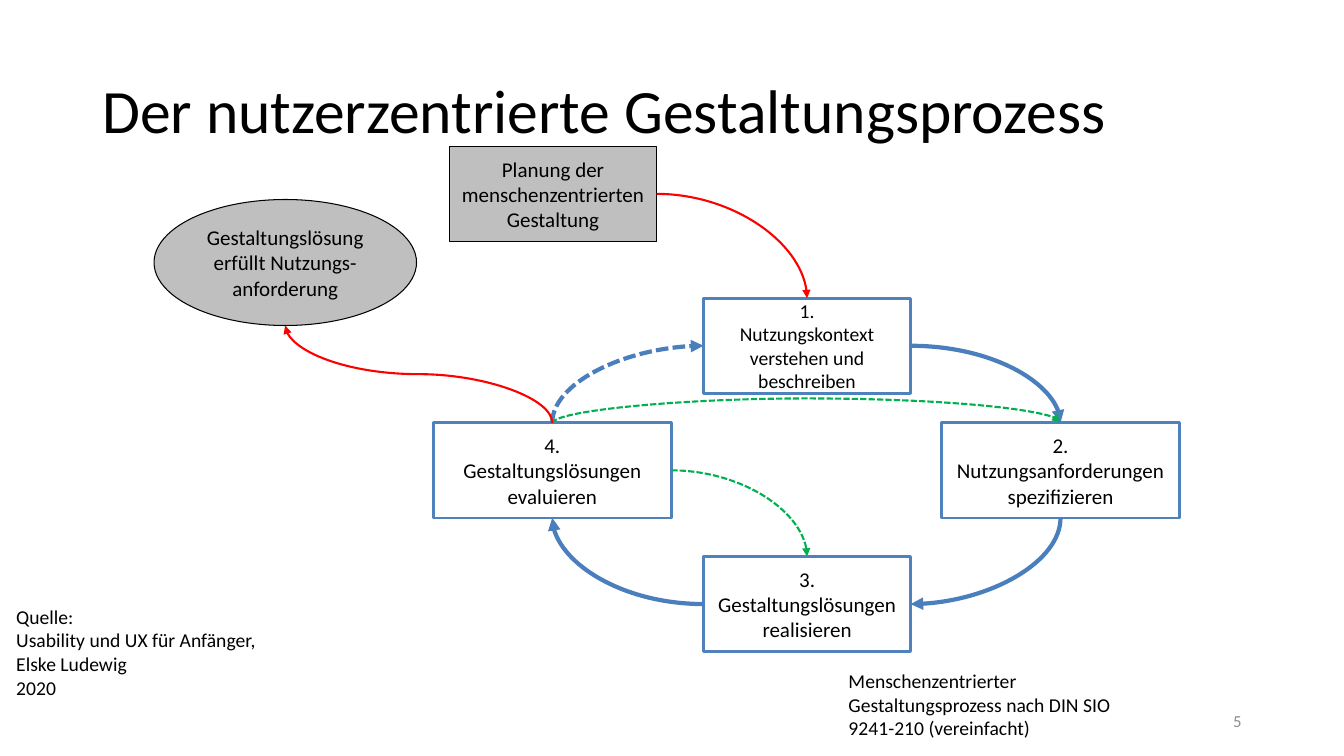
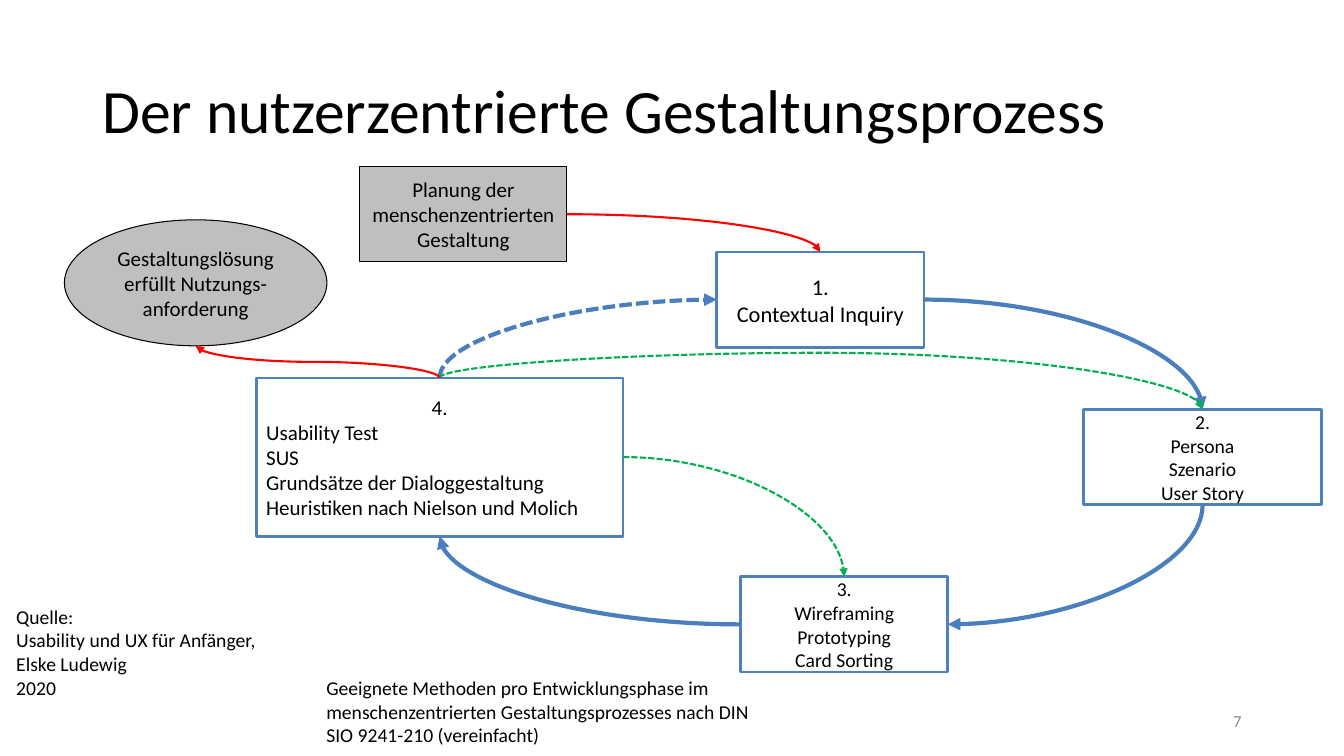
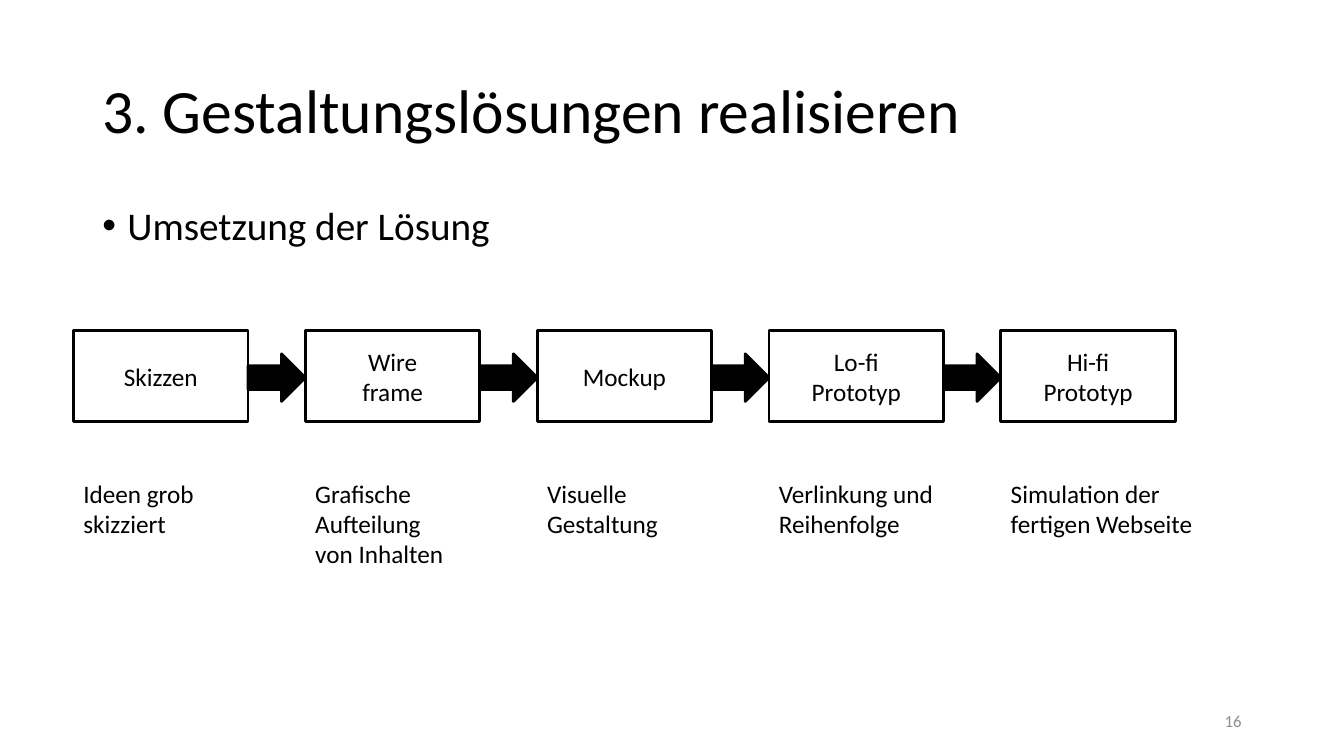
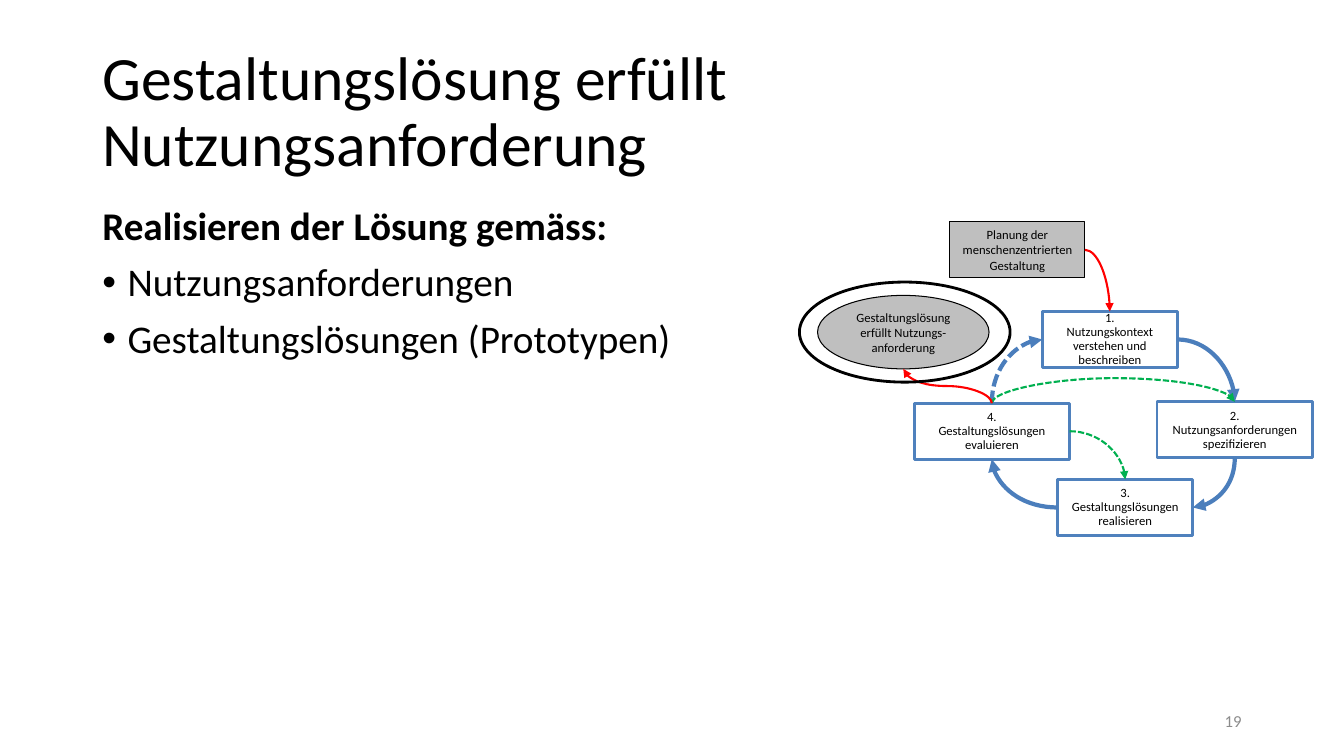
from lxml import etree
from pptx import Presentation
from pptx.dml.color import RGBColor
from pptx.enum import dml, shapes, text
from pptx.oxml.ns import qn
from pptx.util import Pt

COLORS = {
    "text": "000000", "page": "8C8C8C", "paper": "FFFFFF", "grey": "BFBFBF",
    "border": "4F81BD", "cycle": "4B7EBC", "back": "00B050", "outer": "FF0000",
}
FONT = "Calibri"
LEFT, CENTER, RIGHT = text.PP_ALIGN.LEFT, text.PP_ALIGN.CENTER, text.PP_ALIGN.RIGHT
RECT, OVAL = shapes.MSO_SHAPE.RECTANGLE, shapes.MSO_SHAPE.OVAL
ARROW = shapes.MSO_SHAPE.RIGHT_ARROW

PROCESS_TITLE = "Der nutzerzentrierte Gestaltungsprozess"
SOURCE = ["Quelle:", "Usability und UX für Anfänger,", "Elske Ludewig", "2020"]
PLANNING = ["Planung der menschenzentrierten Gestaltung"]
FULFILLED = ["Gestaltungslösung erfüllt Nutzungs-anforderung"]
PHASES = {
    "1": ["1.", "Nutzungskontext verstehen und beschreiben"],
    "2": ["2.", "Nutzungsanforderungen spezifizieren"],
    "3": ["3. Gestaltungslösungen", "realisieren"],
    "4": ["4.", "Gestaltungslösungen evaluieren"],
}
METHODS = {
    "1": ["1.", "Contextual Inquiry"],
    "2": ["2.", "Persona", "Szenario", "User Story"],
    "3": ["3.", "Wireframing", "Prototyping", "Card Sorting"],
    "4": ["4.", "Usability Test", "SUS", "Grundsätze der Dialoggestaltung",
          "Heuristiken nach Nielson und Molich"],
}

# Each diagram: node -> (left, top, width, height), and text size per node
PHASE_DIAGRAM = {
    "lines": PHASES,
    "nodes": {
        "1": (502.5, 213, 148, 68), "2": (672.5, 302, 170, 68),
        "3": (502.5, 397.5, 148, 68), "4": (309.5, 302, 170, 68),
        "planning": (321, 104.5, 148, 68), "fulfilled": (110, 142.5, 187.5, 90),
    },
    "size": 15, "sizes": {"1": 14},
}
METHOD_DIAGRAM = {
    "lines": METHODS,
    "nodes": {
        "1": (512, 180, 148, 68), "2": (774, 292.5, 170, 68),
        "3": (529, 412, 148, 68), "4": (183, 270, 262, 113),
        "planning": (257, 119, 148, 68), "fulfilled": (46, 157, 187.5, 90),
    },
    "size": 15, "sizes": {"1": 16, "2": 14, "3": 14}, "listed": "4",
}
SMALL_DIAGRAM = {
    "lines": PHASES,
    "nodes": {
        "1": (744.5, 222.5, 96.5, 40), "2": (826.5, 287, 111, 40),
        "3": (755.5, 342.5, 96.5, 40), "4": (653, 288, 111, 40),
        "planning": (678.5, 158.5, 96.5, 40), "fulfilled": (584, 211, 122.5, 52.5),
    },
    "size": 9, "sizes": {}, "leading": Pt(10),
}
HIGHLIGHT_RING = (571, 201.5, 150.5, 71.5)

# from node, side, to node, side, colour, width, dashed
FLOWS = [
    ("4", "top", "1", "left", "cycle", 3, True),
    ("1", "right", "2", "top", "cycle", 3, False),
    ("2", "bottom", "3", "right", "cycle", 3, False),
    ("3", "left", "4", "bottom", "cycle", 3, False),
    ("4", "right", "3", "top", "back", 1.5, True),
    ("4", "top", "2", "top", "back", 1.5, True),
    ("planning", "right", "1", "top", "outer", 1.5, False),
    ("4", "top", "fulfilled", "bottom", "outer", 1.5, False),
]
SIDES = {"top": (0.5, 0), "left": (0, 0.5), "bottom": (0.5, 1), "right": (1, 0.5)}
ARCH = 18  # height of the flow that runs from top side to top side

STEPS = [
    (["Skizzen"], ["Ideen grob", "skizziert"]),
    (["Wire", "frame"], ["Grafische Aufteilung", "von Inhalten"]),
    (["Mockup"], ["Visuelle Gestaltung"]),
    (["Lo-fi", "Prototyp"], ["Verlinkung und", "Reihenfolge"]),
    (["Hi-fi", "Prototyp"], ["Simulation der fertigen Webseite"]),
]
STEP_LEFT, STEP_PITCH, STEP_WIDTH = 52.5, 165.6, 124.7


def rgb(name):
    return RGBColor.from_string(COLORS[name])


def pt(values):
    return [Pt(v) for v in values]


def write(shape, lines, size, color="text", align=LEFT, anchor="TOP", **spacing):
    frame = shape.text_frame
    frame.word_wrap = True
    frame.vertical_anchor = getattr(text.MSO_ANCHOR, anchor)
    frame.text = "\n".join(lines)
    for paragraph in frame.paragraphs:
        for name, value in {"alignment": align, **spacing}.items():
            setattr(paragraph, name, value)
        font = paragraph.font
        for name, value in {"name": FONT, "size": Pt(size)}.items():
            setattr(font, name, value)
        font.color.rgb = rgb(color)
    return frame.paragraphs


def add_text(slide, box, lines, size, **style):
    return write(slide.shapes.add_textbox(*pt(box)), lines, size, **style)


def add_box(slide, kind, box, fill, border, width):
    shape = slide.shapes.add_shape(kind, *pt(box))
    shape.shadow.inherit = False
    if fill:
        shape.fill.solid()
        shape.fill.fore_color.rgb = rgb(fill)
    else:
        shape.fill.background()
    shape.line.color.rgb = rgb(border)
    shape.line.width = Pt(width)
    return shape


def add_flow(slide, nodes, placed, flow):
    """Curved arrow glued to two nodes; a vertical start is a quarter turn."""
    start, start_side, end, end_side, color, width, dashed = flow

    def anchor(node, side):
        left, top, w, h = nodes[node]
        fx, fy = SIDES[side]
        return left + fx * w, top + fy * h

    (x1, y1), (x2, y2) = anchor(start, start_side), anchor(end, end_side)
    dx, dy = x2 - x1, y2 - y1
    vertical = start_side in ("top", "bottom")
    if vertical:
        dy = dy or -1
        mid_x, mid_y = (x1 + x2) / 2, (y1 + y2) / 2
        ends = mid_x - dy / 2, mid_y + dx / 2, mid_x + dy / 2, mid_y - dx / 2
    else:
        ends = x1, y1, x2, y2
    arrow = slide.shapes.add_connector(shapes.MSO_CONNECTOR.CURVE, *pt(ends))
    arrow.rotation = 90 if vertical else 0

    arrow.line.color.rgb = rgb(color)
    arrow.line.width = Pt(width)
    if dashed:
        arrow.line.dash_style = dml.MSO_LINE.SQUARE_DOT

    properties = arrow._element.spPr
    geometry = properties.find(qn("a:prstGeom"))
    if not (vertical and end_side in ("top", "bottom")):
        geometry.set("prst", "curvedConnector2")
    elif start_side == end_side:
        etree.SubElement(geometry.find(qn("a:avLst")), qn("a:gd"), name="adj1",
                         fmla=f"val {round(-ARCH / dy * 100000)}")
    etree.SubElement(properties.find(qn("a:ln")), qn("a:tailEnd"), type="triangle")
    etree.SubElement(properties, qn("a:effectLst"))

    glue = arrow._element.find(".//" + qn("p:cNvCxnSpPr"))
    for tag, node, side in (("a:stCxn", start, start_side), ("a:endCxn", end, end_side)):
        site = list(SIDES).index(side) * (2 if node == "fulfilled" else 1)
        etree.SubElement(glue, qn(tag), id=str(placed[node].shape_id), idx=str(site))


def add_diagram(slide, diagram):
    nodes, placed = diagram["nodes"], {}
    lines = {**diagram["lines"], "planning": PLANNING, "fulfilled": FULFILLED}
    for node, box in nodes.items():
        phase = node in PHASES
        look = ("paper", "border", 2) if phase else ("grey", "text", 0.75)
        kind = OVAL if node == "fulfilled" else RECT
        placed[node] = add_box(slide, kind, box, *look)
        spacing = {"line_spacing": diagram.get("leading")} if phase else {}
        paragraphs = write(placed[node], lines[node],
                           diagram["sizes"].get(node, diagram["size"]),
                           align=CENTER, anchor="MIDDLE", **spacing)
        if node == diagram.get("listed"):
            for paragraph in paragraphs[1:]:
                paragraph.alignment = LEFT
    for flow in FLOWS:
        add_flow(slide, nodes, placed, flow)


def add_body(slide, width, bullets, heading=None):
    lines = ([heading] if heading else []) + bullets
    paragraphs = add_text(slide, (66, 144, width, 342.5), lines, 28,
                          line_spacing=0.9, space_before=Pt(10))
    if heading:
        paragraphs[0].font.bold = True
    for paragraph in paragraphs[-len(bullets):]:
        layout = paragraph._p.get_or_add_pPr()
        layout.set("marL", str(Pt(18)))
        layout.set("indent", str(Pt(-18)))
        font = etree.Element(qn("a:buFont"), typeface="Arial")
        bullet = etree.Element(qn("a:buChar"), char="•")
        after = layout.find(qn("a:spcBef"))
        after.addnext(font)
        font.addnext(bullet)


def add_slide(deck, title, number):
    slide = deck.slides.add_slide(deck.slide_layouts[6])
    add_text(slide, (66, 28.75, 828, 104.4), [title], 44,
             anchor="MIDDLE", line_spacing=0.9)
    add_text(slide, (678, 500.5, 216, 28.75), [str(number)], 12,
             color="page", align=RIGHT, anchor="MIDDLE")
    return slide


def add_process_slide(deck, number, diagram, note_box, note):
    slide = add_slide(deck, PROCESS_TITLE, number)
    add_diagram(slide, diagram)
    add_text(slide, (4.5, 428.5, 209, 75), SOURCE, 14)
    add_text(slide, note_box, [note], 14)


def add_steps(slide):
    for i, (name, caption) in enumerate(STEPS):
        left = STEP_LEFT + i * STEP_PITCH
        step = add_box(slide, RECT, (left, 236.25, STEP_WIDTH, 65), "paper", "text", 2)
        write(step, name, 18, align=CENTER, anchor="MIDDLE")
        add_text(slide, (left, 337.75, 149, 51), caption, 18)
        if i < len(STEPS) - 1:
            gap = STEP_PITCH - STEP_WIDTH
            add_box(slide, ARROW, (left + STEP_WIDTH, 252.75, gap, 34), "text", "text", 2)


def main():
    deck = Presentation()
    deck.slide_width, deck.slide_height = Pt(960), Pt(540)

    add_process_slide(deck, 5, PHASE_DIAGRAM, (599, 474.5, 209, 58),
                      "Menschenzentrierter Gestaltungsprozess nach DIN SIO 9241-210 "
                      "(vereinfacht)")
    add_process_slide(deck, 7, METHOD_DIAGRAM, (226, 479.5, 323.5, 58),
                      "Geeignete Methoden pro Entwicklungsphase im menschenzentrierten "
                      "Gestaltungsprozesses nach DIN SIO 9241-210 (vereinfacht)")

    realise = add_slide(deck, "3. Gestaltungslösungen realisieren", 16)
    add_body(realise, 828, ["Umsetzung der Lösung"])
    add_steps(realise)

    fulfil = add_slide(deck, "Gestaltungslösung erfüllt Nutzungsanforderung", 19)
    add_body(fulfil, 436.5, ["Nutzungsanforderungen", "Gestaltungslösungen (Prototypen)"],
             heading="Realisieren der Lösung gemäss:")
    add_diagram(fulfil, SMALL_DIAGRAM)
    add_box(fulfil, OVAL, HIGHLIGHT_RING, None, "text", 2)

    deck.save("out.pptx")


if __name__ == "__main__":
    main()
